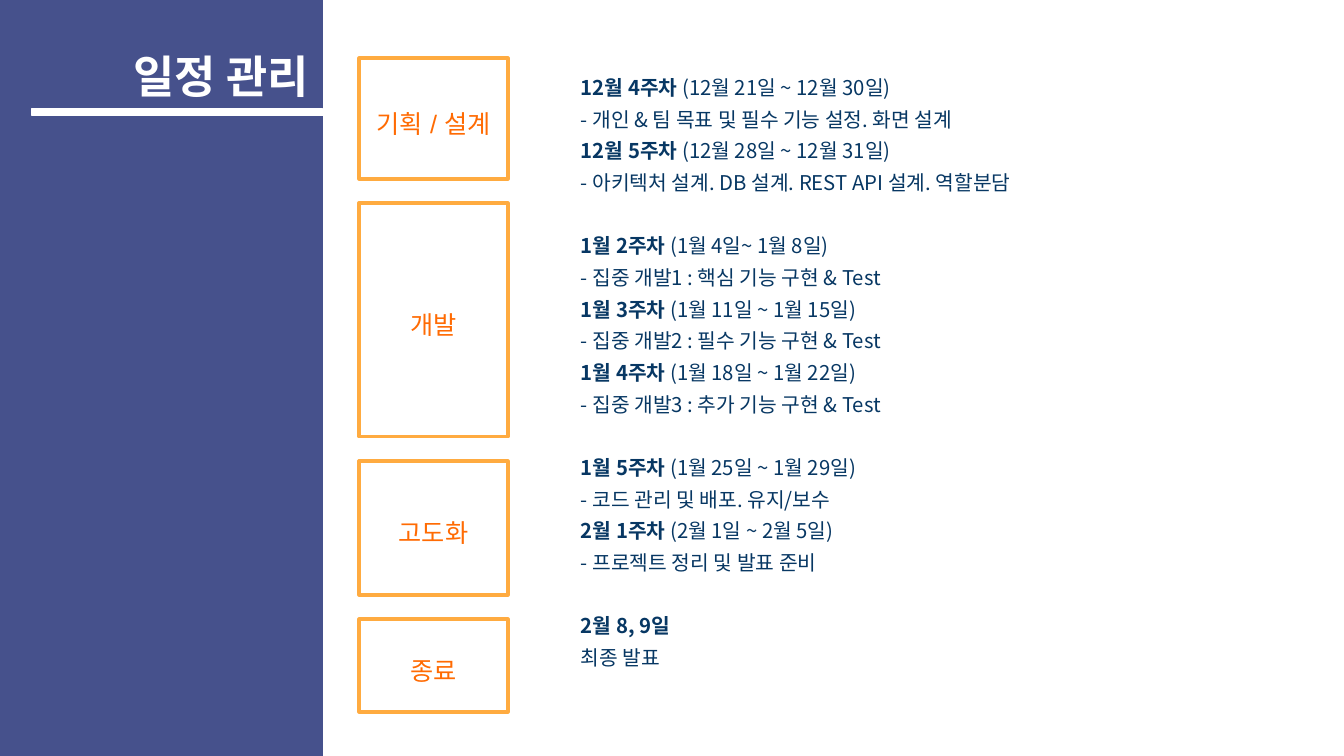
from pptx import Presentation, util as u
from pptx.dml.color import RGBColor
from pptx.enum import shapes, text
from pptx.oxml.ns import qn
from lxml import etree

# Content: phase, box height in px, and its schedule (bold part, plain part)
TITLE = "일정 관리"
PHASES = [
    ("기획 / 설계", 121, [
        ("12월 4주차", " (12월 21일 ~ 12월 30일)"),
        ("", "- 개인 & 팀 목표 및 필수 기능 설정. 화면 설계"),
        ("12월 5주차", " (12월 28일 ~ 12월 31일)"),
        ("", "- 아키텍처 설계. DB 설계. REST API 설계. 역할분담"),
    ]),
    ("개발", 234, [
        ("1월 2주차", " (1월 4일~ 1월 8일)"),
        ("", "- 집중 개발1 : 핵심 기능 구현 & Test"),
        ("1월 3주차", " (1월 11일 ~ 1월 15일)"),
        ("", "- 집중 개발2 : 필수 기능 구현 & Test"),
        ("1월 4주차", " (1월 18일 ~ 1월 22일)"),
        ("", "- 집중 개발3 : 추가 기능 구현 & Test"),
    ]),
    ("고도화", 134, [
        ("1월 5주차", " (1월 25일 ~ 1월 29일)"),
        ("", "- 코드 관리 및 배포. 유지/보수"),
        ("2월 1주차", " (2월 1일 ~ 2월 5일)"),
        ("", "- 프로젝트 정리 및 발표 준비"),
    ]),
    ("종료", 93, [
        ("2월 8, 9일", ""),
        ("", "최종 발표"),
    ]),
]


class Theme:
    sidebar, white = "46518C", "FFFFFF"
    border, phase, schedule = "FFAB40", "FF6B03", "073763"
    font, phase_font = "Noto Sans CJK KR", "Arial"
    title_size, phase_size, schedule_size = 32, 18, 14.5
    line_spacing, group_gap, border_width = 1.3, 22.6, 2.25


def px(n):
    return u.Emu(round(n * 914400 / 100.8))


def rgb(color):
    return RGBColor.from_string(color)


def style(run, font, size, color, bold=False):
    run.font.name, run.font.size, run.font.bold = font, u.Pt(size), bold
    run.font.color.rgb = rgb(color)
    props = run.font._element
    props.set("kern", "0")
    etree.SubElement(props, qn("a:ea")).set("typeface", font)


def place(placeholder, left, top, width, height, inset, anchor):
    placeholder.left, placeholder.top = px(left), px(top)
    placeholder.width, placeholder.height = px(width), px(height)
    frame = placeholder.text_frame
    frame.margin_left = frame.margin_right = px(inset)
    frame.margin_top = frame.margin_bottom = px(inset)
    frame.word_wrap, frame.vertical_anchor = True, anchor
    frame.auto_size = text.MSO_AUTO_SIZE.NONE
    return frame


def rectangle(left, top, width, height, fill, line=None, weight=0.75):
    rect = slide.shapes.add_shape(shapes.MSO_SHAPE.RECTANGLE,
                                  px(left), px(top), px(width), px(height))
    rect.shadow.inherit = False
    rect.fill.solid()
    rect.fill.fore_color.rgb = rgb(fill)
    if line:
        rect.line.color.rgb, rect.line.width = rgb(line), u.Pt(weight)
    else:
        rect.line.fill.background()
    return rect


prs = Presentation()
prs.slide_width, prs.slide_height = px(1344), px(756)
slide = prs.slides.add_slide(prs.slide_layouts[1])
heading, schedule = slide.placeholders

# Sidebar, sent behind the title, and title underline
sidebar = rectangle(0, 0, 323, 756, Theme.sidebar).element
sidebar.getparent().insert(2, sidebar)
rectangle(32, 109, 291, 7, Theme.white, Theme.white)

# Title
frame = place(heading, 78, 46, 244, 60, 13, text.MSO_ANCHOR.MIDDLE)
frame.text = TITLE
frame.paragraphs[0].alignment = text.PP_ALIGN.RIGHT
style(frame.paragraphs[0].runs[0], Theme.font, Theme.title_size, Theme.white, True)

# Phase boxes, stacked with one equal gap
top, gap = 58, 24
for name, height, _ in PHASES:
    box = rectangle(359, top, 149, height, Theme.white, Theme.border, Theme.border_width)
    box.text_frame.text = name
    box.text_frame.vertical_anchor = text.MSO_ANCHOR.MIDDLE
    label = box.text_frame.paragraphs[0]
    label.alignment, label.line_spacing = text.PP_ALIGN.CENTER, Theme.line_spacing
    style(label.runs[0], Theme.phase_font, Theme.phase_size, Theme.phase)
    top += height + gap

# Schedule, one group of lines per phase
frame = place(schedule, 559, 58, 565, 668, 10, text.MSO_ANCHOR.TOP)
for group, (_, _, lines) in enumerate(PHASES):
    for row, parts in enumerate(lines):
        first = group == row == 0
        line = frame.paragraphs[0] if first else frame.add_paragraph()
        props = line._p.get_or_add_pPr()
        props.set("marL", str(px(50)))
        props.set("indent", str(-px(38)))
        etree.SubElement(props, qn("a:buNone"))
        line.line_spacing = Theme.line_spacing
        line.space_before = u.Pt(Theme.group_gap if group and row == 0 else 0)
        for part, bold in zip(parts, (True, False)):
            if part:
                run = line.add_run()
                run.text = part
                style(run, Theme.font, Theme.schedule_size, Theme.schedule, bold)

prs.save("out.pptx")
